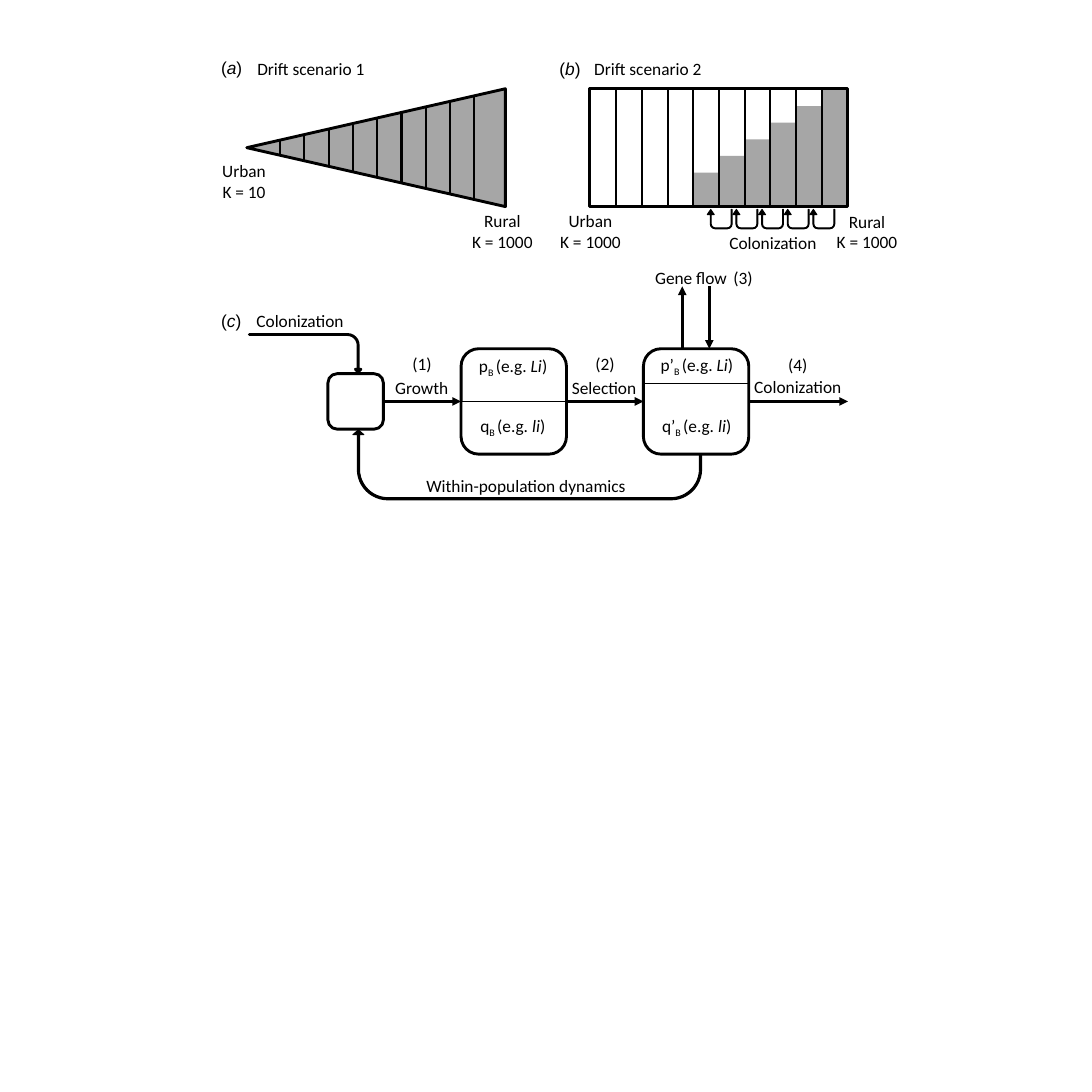
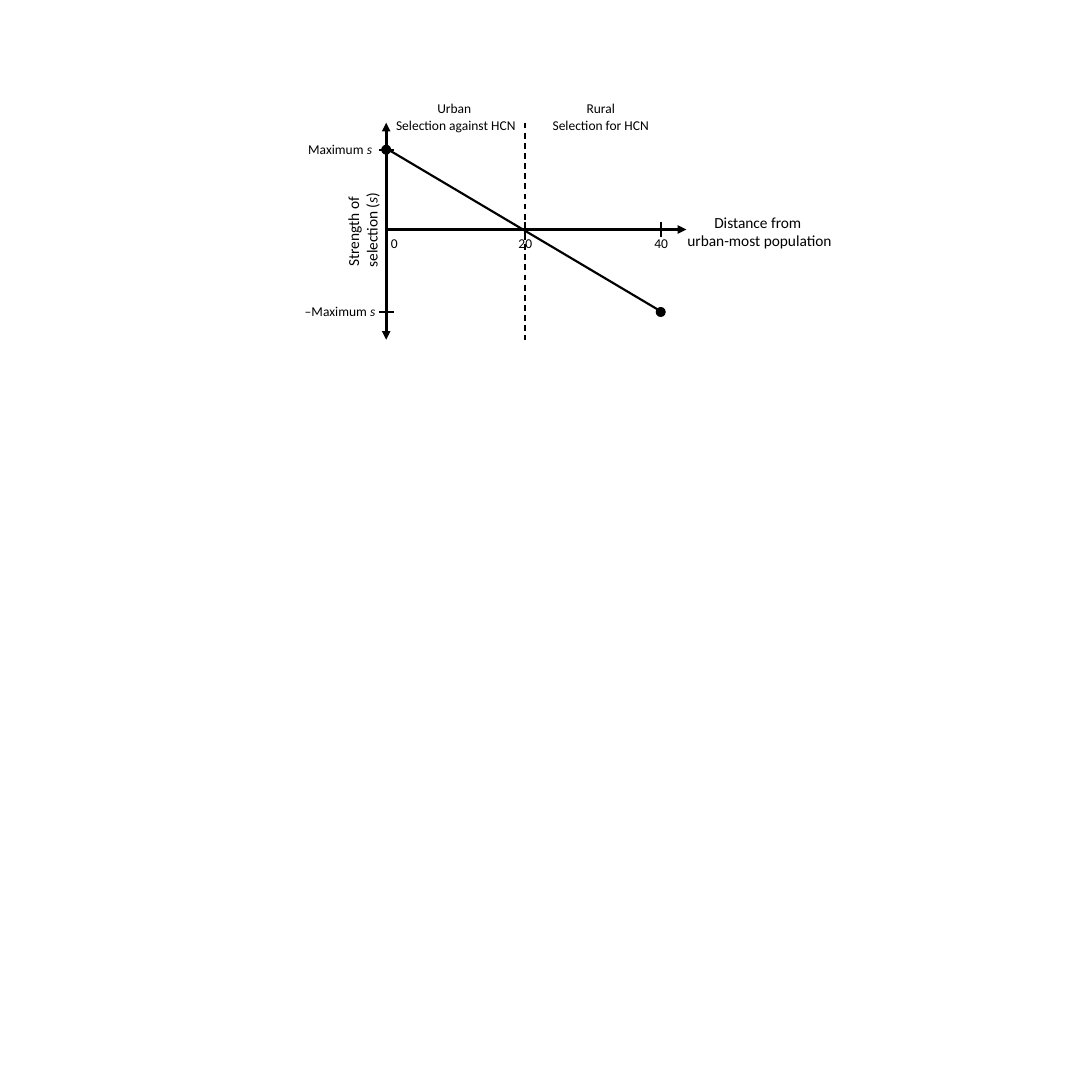
from lxml import etree
from pptx import Presentation
from pptx import util as u
from pptx.dml import color
from pptx.enum import dml, shapes, text
from pptx.oxml import ns

BLACK, GREY, WHITE, BLUE = "000000", "A6A6A6", "FFFFFF", "4472C4"
HEAVY, MEDIUM, THIN = 3, 2.25, 1
KIND = shapes.MSO_SHAPE
ALIGN = {"l": text.PP_ALIGN.LEFT, "c": text.PP_ALIGN.CENTER}
TOP, LEFT, BOTTOM, RIGHT = range(4)


def rgb(value):
    return color.RGBColor.from_string(value)


def apply(target, **values):
    for name, value in values.items():
        setattr(target, name, value)


def italic(words):
    return words, {"italic": True}


def add_label(page, left, top, width, height, lines, size=18, align="l", font="Calibri", turn=0):
    box = page.shapes.add_textbox(*map(u.Inches, (left, top, width, height)))
    box.rotation = turn
    frame = box.text_frame
    apply(frame, word_wrap=False, auto_size=text.MSO_AUTO_SIZE.SHAPE_TO_FIT_TEXT)
    for index, line in enumerate(lines):
        para = frame.add_paragraph() if index else frame.paragraphs[0]
        para.alignment = ALIGN[align]
        for part in [line] if isinstance(line, str) else line:
            words, style = (part, {}) if isinstance(part, str) else part
            span = para.add_run()
            span.text = words
            style = dict(style)
            baseline = style.pop("baseline", None)
            apply(span.font, size=u.Pt(size), name=font, **style)
            span.font.color.rgb = rgb(BLACK)
            if baseline:
                span._r.get_or_add_rPr().set("baseline", baseline)
    return box


def add_figure(page, kind, left, top, width, height, fill=None, line=None, weight=HEAVY,
               turn=0, adjust=()):
    figure = page.shapes.add_shape(kind, *map(u.Inches, (left, top, width, height)))
    figure.shadow.inherit = False
    figure.rotation = turn
    for index, value in enumerate(adjust):
        figure.adjustments[index] = value
    if fill:
        figure.fill.solid()
        figure.fill.fore_color.rgb = rgb(fill)
    else:
        figure.fill.background()
    if line:
        figure.line.color.rgb = rgb(line)
        figure.line.width = u.Pt(weight)
    else:
        figure.line.fill.background()
    return figure


def add_line(page, start, end, weight=MEDIUM, head=False, tail=False, dash=None,
             begin=None, finish=None):
    line = page.shapes.add_connector(shapes.MSO_CONNECTOR.STRAIGHT, *map(u.Inches, (*start, *end)))
    line.line.color.rgb = rgb(BLACK)
    line.line.width = u.Pt(weight)
    if dash:
        line.line.dash_style = dash
    properties = line._element.spPr
    outline = properties.find(ns.qn("a:ln"))
    for tag, shown in (("a:headEnd", head), ("a:tailEnd", tail)):
        if shown:
            etree.SubElement(outline, ns.qn(tag)).set("type", "triangle")
    etree.SubElement(properties, ns.qn("a:effectLst"))
    if begin:
        line.begin_connect(*begin)
    if finish:
        line.end_connect(*finish)
    return line


def add_panel_mark(page, left, top, letter):
    add_label(page, left, top, 0.51, 0.4, [["(", italic(letter), ")"]], font="Arial")


def add_wedge(page):
    apex, middle, length, half = 3.56, 2.13, 3.73, 0.85
    add_figure(page, KIND.ISOSCELES_TRIANGLE, apex + length / 2 - half, middle - length / 2,
               2 * half, length, GREY, BLACK, turn=270)
    for index in range(9):
        x = 4.04 + 0.35 * index
        reach = half * (x - apex) / length
        add_line(page, (x, middle + reach), (x, middle - reach))
    add_label(page, 6.7, 2.98, 1.09, 0.71, ["Rural", "K = 1000"], align="c")
    add_label(page, 3.1, 2.26, 0.84, 0.71, ["Urban", "K = 10"], align="c")
    add_panel_mark(page, 3.09, 0.78, "a")
    add_label(page, 3.6, 0.79, 1.77, 0.4, ["Drift scenario 1"], align="c")


def add_columns(page):
    first, step, top, bottom = 8.89, 0.37, 1.27, 2.98
    for index in range(6):
        level = 2.49 - 0.24 * index
        add_figure(page, KIND.RECTANGLE, first + step * (index + 3), level, step, bottom - level, GREY)
    add_figure(page, KIND.RECTANGLE, 8.5, top, 3.73, bottom - top, line=BLACK)
    for index in range(9):
        x = first + step * index
        add_line(page, (x, top), (x, bottom))
    for index in range(5):
        add_figure(page, KIND.U_TURN_ARROW, 10.2 + step * index, 3.02, 0.36, 0.28, BLACK, BLACK,
                   THIN, 180, (0.05, 0.182, 0.269, 0.248, 1))
    add_label(page, 11.96, 2.99, 1.09, 0.71, ["Rural", "K = 1000"], align="c")
    add_label(page, 7.97, 2.98, 1.09, 0.71, ["Urban", "K = 1000"], align="c")
    add_label(page, 10.42, 3.3, 1.48, 0.4, ["Colonization"])
    add_panel_mark(page, 7.97, 0.79, "b")
    add_label(page, 8.46, 0.79, 1.77, 0.4, ["Drift scenario 2"], align="c")


def add_cycle(page):
    middle, side = 5.79, 1.52
    add_figure(page, KIND.U_TURN_ARROW, 5.09, 6.2, 5.03, 1.01, BLACK, BLACK, THIN, 180,
               (0.032, 0.078, 0.068, 0.438, 1))
    founders, grown, selected = (
        add_figure(page, KIND.ROUNDED_RECTANGLE, left, middle - size / 2, size, size, WHITE, BLACK)
        for left, size in ((4.73, 0.8), (6.65, side), (9.28, side)))
    add_figure(page, KIND.BENT_ARROW, 4.13, 4.29, 0.54, 1.61, BLUE, BLACK, turn=90,
               adjust=(0, 0.073, 0.073, 0.286))

    add_line(page, (5.53, middle), (6.65, middle), HEAVY, tail=True,
             begin=(founders, RIGHT), finish=(grown, LEFT))
    add_line(page, (8.17, middle), (9.28, middle), HEAVY, tail=True,
             begin=(grown, RIGHT), finish=(selected, LEFT))
    add_line(page, (10.8, middle), (12.23, middle), HEAVY, tail=True, begin=(selected, RIGHT))
    add_line(page, (6.65, middle), (8.17, middle), THIN, begin=(grown, LEFT), finish=(grown, RIGHT))
    add_line(page, (9.28, 5.53), (10.8, 5.53), THIN)
    add_line(page, (9.84, 5.03), (9.84, 4.13), HEAVY, tail=True)
    add_line(page, (10.23, 4.13), (10.23, 5.03), HEAVY, tail=True)

    for left, top, width, words in (
            (3.6, 4.42, 1.48, "Colonization"), (5.6, 5.39, 0.98, "Growth"),
            (8.15, 5.39, 1.14, "Selection"), (10.78, 5.38, 1.48, "Colonization"),
            (9.35, 3.8, 1.25, "Gene flow"), (6.05, 6.81, 3.11, "Within-population dynamics"),
            (5.85, 5.05, 0.48, "(1)"), (8.49, 5.05, 0.48, "(2)"),
            (10.48, 3.8, 0.48, "(3)"), (11.27, 5.06, 0.48, "(4)")):
        add_label(page, left, top, width, 0.4, [words])
    for left, top, width, symbol, allele in (
            (6.81, 5.07, 1.22, "p", "Li"), (9.43, 5.06, 1.27, "p’", "Li"),
            (6.83, 5.94, 1.17, "q", "li"), (9.45, 5.94, 1.22, "q’", "li")):
        add_label(page, left, top, width, 0.4,
                  [[symbol, ("B ", {"baseline": "-25000"}), "(e.g. ", italic(allele), ")"]])
    add_panel_mark(page, 3.09, 4.42, "c")


def add_selection_graph(page):
    axis, zero, top, bottom = 5.57, 3.31, 1.77, 4.9
    highest, lowest, halfway, farthest = 2.16, 4.5, 7.57, 9.53
    dot, tick = 0.13, 0.11
    add_line(page, (axis, top), (axis, bottom), HEAVY, head=True, tail=True)
    add_line(page, (axis, zero), (9.9, zero), HEAVY, tail=True)
    add_line(page, (axis, 2.14), (9.48, 4.46))
    add_line(page, (halfway, top), (halfway, bottom), 1.5, dash=dml.MSO_LINE.DASH)
    for x, y in ((axis, highest), (farthest, lowest)):
        add_figure(page, KIND.OVAL, x - dot / 2, y - dot / 2, dot, dot, BLACK, BLACK, THIN)
    for x in (halfway, farthest):
        add_line(page, (x, zero - tick), (x, zero + tick))
    for y in (highest, lowest):
        add_line(page, (axis - tick, y), (axis + tick, y))

    for left, width, number in ((5.54, 0.3, "0"), (7.38, 0.4, "20"), (9.34, 0.4, "40")):
        add_label(page, left, 3.34, width, 0.34, [number], 14)
    for left, top_edge, width, words in (
            (4.34, 1.99, 1.13, "Maximum "), (4.29, 4.32, 1.23, "–Maximum ")):
        add_label(page, left, top_edge, width, 0.34, [[words, italic("s")]], 14, "c")
    add_label(page, 5.6, 1.4, 1.95, 0.57, ["Urban ", "Selection against HCN"], 14, "c")
    add_label(page, 7.86, 1.4, 1.61, 0.57, ["Rural", "Selection for HCN"], 14, "c")
    add_label(page, 9.8, 3.02, 2.31, 0.64, ["Distance from ", "urban-most population"], 16, "c")
    add_label(page, 4.58, 3, 1.3, 0.64, ["Strength of ", ["selection (", italic("s"), ")"]], 16, "c",
              turn=270)


def main():
    deck = Presentation()
    apply(deck, slide_width=u.Inches(15.75), slide_height=u.Inches(15.75))
    for parts in ((add_wedge, add_columns, add_cycle), (add_selection_graph,)):
        page = deck.slides.add_slide(deck.slide_layouts[6])
        for add_part in parts:
            add_part(page)
    deck.save("out.pptx")


if __name__ == "__main__":
    main()
